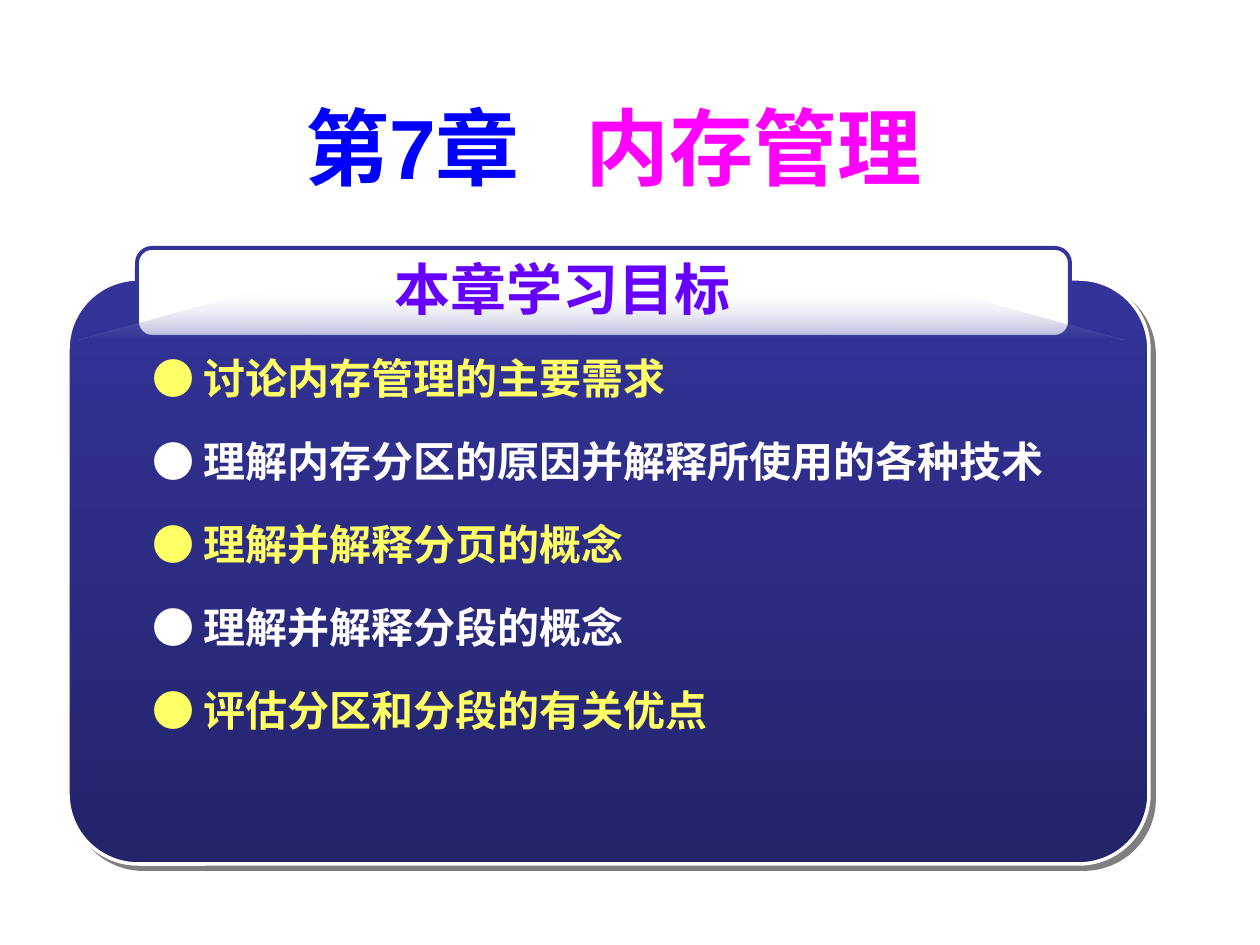
from dataclasses import dataclass

from pptx import Presentation
from pptx.dml.color import RGBColor
from pptx.enum.shapes import MSO_SHAPE as Preset
from pptx.enum.text import MSO_ANCHOR as Anchor, PP_ALIGN as Align
from pptx.oxml import parse_xml
from pptx.oxml.ns import nsdecls
from pptx.shapes.base import BaseShape
from pptx.slide import Slide
from pptx.util import Emu, Pt

EMU_PER_PX = 914400 / 126
FONT = "Arial"
COLORS = {
    "title_blue": "0000FF",
    "title_pink": "FF00FF",
    "navy": "333399",
    "dark_navy": "24246B",
    "edge": "FEFEFE",
    "label": "FEFFFF",
    "violet": "6600FF",
    "yellow": "FFFF66",
    "white": "FFFFFF",
}


@dataclass
class Box:
    left: int
    top: int
    width: int
    height: int


@dataclass
class Run:
    text: str
    color: str
    spacing: int = 0  # extra character spacing, hundredths of a point


@dataclass
class Goal:
    text: str
    color: str


def px(length: int) -> Emu:
    return Emu(round(length * EMU_PER_PX))


def rgb(name: str) -> RGBColor:
    return RGBColor.from_string(COLORS[name])


def edges(box: Box) -> list[Emu]:
    return [px(box.left), px(box.top), px(box.width), px(box.height)]


def add_text(slide: Slide, box: Box, runs: list[Run], *, size: int,
             align: Align = Align.LEFT, anchor: Anchor = Anchor.TOP,
             line_spacing: float = 1.0) -> None:
    frame = slide.shapes.add_textbox(*edges(box)).text_frame
    frame.word_wrap = True
    frame.vertical_anchor = anchor
    paragraph = frame.paragraphs[0]
    paragraph.alignment = align
    paragraph.line_spacing = line_spacing
    for item in runs:
        run = paragraph.add_run()
        run.text = item.text
        run.font.name = FONT
        run.font.size = Pt(size)
        run.font.bold = True
        run.font.color.rgb = rgb(item.color)
        if item.spacing:
            run.font._element.set("spc", str(item.spacing))


def fill_down(shape: BaseShape, top: str, bottom: str,
              opacities: tuple[int, int] = (100, 100)) -> None:
    """Fill from top to bottom; opacities are in percent."""
    shape.fill.gradient()
    shape.fill.gradient_angle = 270
    for stop, name, position in zip(shape.fill.gradient_stops, (top, bottom), (0, 1)):
        stop.color.rgb = rgb(name)
        stop.position = position
    colors = shape._element.spPr.xpath(".//a:gs/a:srgbClr")
    for color, opacity in zip(colors, opacities):
        if opacity < 100:
            color.append(parse_xml(
                f'<a:alpha {nsdecls("a")} val="{opacity * 1000}"/>'))


def add_rounded(slide: Slide, box: Box, *, corner: float, line: str,
                line_width: float) -> BaseShape:
    shape = slide.shapes.add_shape(Preset.ROUNDED_RECTANGLE, *edges(box))
    shape.adjustments[0] = corner
    shape.line.color.rgb = rgb(line)
    shape.line.width = Pt(line_width)
    shape.shadow.inherit = False
    return shape


def add_panel(slide: Slide) -> None:
    panel = add_rounded(slide, Box(68, 279, 1081, 585), corner=0.12,
                        line="edge", line_width=2)
    fill_down(panel, "navy", "dark_navy")
    effects = panel._element.spPr.xpath("a:effectLst")[0]
    effects.append(parse_xml(
        f'<a:outerShdw {nsdecls("a")} dist="{Pt(4.2)}" dir="2700000" algn="ctr" '
        'rotWithShape="0"><a:srgbClr val="000000"><a:alpha val="50000"/>'
        '</a:srgbClr></a:outerShdw>'))


def add_label(slide: Slide) -> None:
    label = add_rounded(slide, Box(137, 248, 933, 89), corner=0.17,
                        line="navy", line_width=2.25)
    label.fill.solid()
    label.fill.fore_color.rgb = rgb("label")


def add_sheen(slide: Slide) -> None:
    corners = [(78, 340), (262, 289), (940, 289), (1125, 340)]
    start, *others = [(px(x), px(y)) for x, y in corners]
    builder = slide.shapes.build_freeform(*start)
    builder.add_line_segments(others, close=True)
    sheen = builder.convert_to_shape()
    fill_down(sheen, "white", "navy", (0, 40))
    sheen.line.fill.background()
    sheen.shadow.inherit = False


GOALS = [
    Goal("讨论内存管理的主要需求", "yellow"),
    Goal("理解内存分区的原因并解释所使用的各种技术", "white"),
    Goal("理解并解释分页的概念", "yellow"),
    Goal("理解并解释分段的概念", "white"),
    Goal("评估分区和分段的有关优点", "yellow"),
]
GOAL_BOX = Box(140, 341, 1000, 68)
GOAL_PITCH = 83


def main() -> None:
    presentation = Presentation()
    presentation.slide_width = px(1260)
    presentation.slide_height = px(945)
    slide = presentation.slides.add_slide(presentation.slide_layouts[6])

    # Chapter title, with one widened space between its two parts
    add_text(slide, Box(78, 16, 1071, 302),
             [Run("第7章", "title_blue"), Run(" ", "title_blue", 2670),
              Run("内存管理", "title_pink")],
             size=48, align=Align.CENTER, anchor=Anchor.MIDDLE, line_spacing=0.4)

    # Panel with its label
    add_panel(slide)
    add_label(slide)
    add_sheen(slide)
    add_text(slide, Box(241, 227, 643, 123), [Run("本章学习目标", "violet")],
             size=32, align=Align.CENTER, anchor=Anchor.MIDDLE)

    # Learning goals
    for index, goal in enumerate(GOALS):
        box = Box(GOAL_BOX.left, GOAL_BOX.top + index * GOAL_PITCH,
                  GOAL_BOX.width, GOAL_BOX.height)
        add_text(slide, box, [Run(f"● {goal.text}", goal.color)],
                 size=24, line_spacing=1.1)

    presentation.save("out.pptx")


if __name__ == "__main__":
    main()
